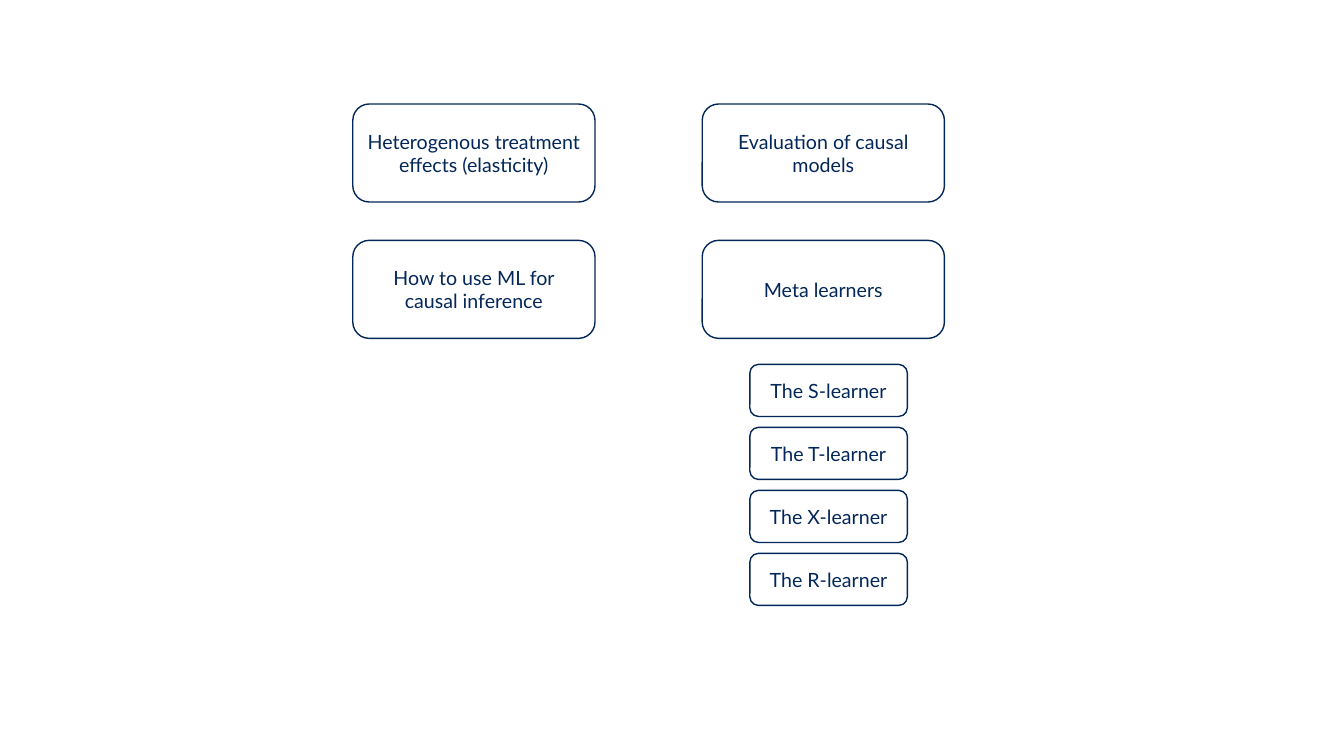
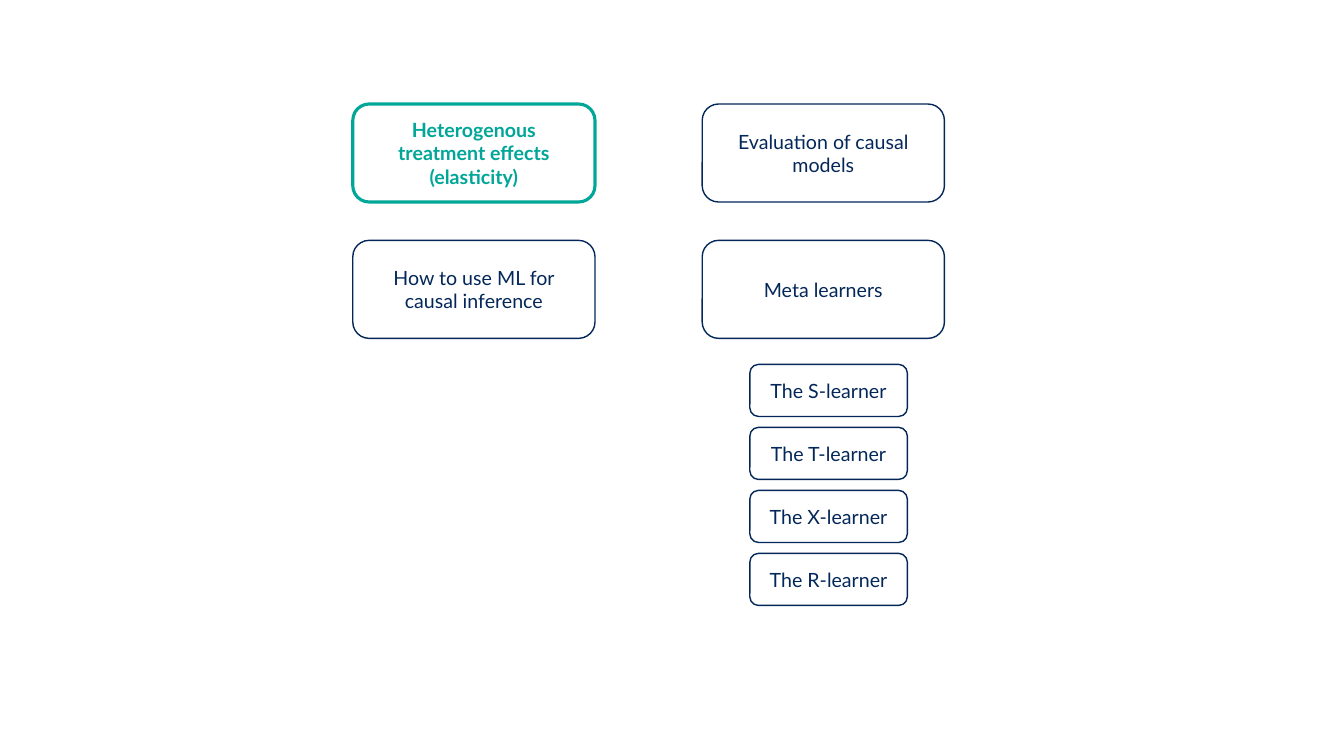
from dataclasses import dataclass
from typing import Optional

import pptx
import pptx.dml.color
import pptx.enum.shapes
import pptx.enum.text
import pptx.presentation
import pptx.slide
import pptx.util

Pt = pptx.util.Pt
RGBColor = pptx.dml.color.RGBColor


@dataclass(frozen=True)
class BoxStyle:
    color: RGBColor
    line_width: float
    bold: bool


@dataclass(frozen=True)
class Theme:
    font: str = "Lato"
    text_size: float = 14
    plain: BoxStyle = BoxStyle(RGBColor(0x04, 0x27, 0x59), 1, False)
    current: BoxStyle = BoxStyle(RGBColor(0x00, 0xA6, 0x98), 2.25, True)


@dataclass(frozen=True)
class Grid:
    """Equal cells in points, filled row by row."""
    left: float
    top: float
    width: float
    height: float
    row_step: float
    column_step: float = 0
    columns: int = 1


THEME = Theme()
SLIDE_WIDTH, SLIDE_HEIGHT = 960, 540

TOPIC_GRID = Grid(252, 74.3, 173, 70, row_step=97.4, column_step=249.6, columns=2)
LEARNER_GRID = Grid(535.6, 260.3, 112.5, 37.2, row_step=45)

EFFECTS = "Heterogenous treatment effects (elasticity)"
TOPICS = [
    EFFECTS,
    "Evaluation of causal models",
    "How to use ML for causal inference",
    "Meta learners",
]
LEARNERS = [f"The {letter}-learner" for letter in "STXR"]


def add_box(page: pptx.slide.Slide, grid: Grid, index: int, text: str, style: BoxStyle) -> None:
    row, column = divmod(index, grid.columns)
    box = page.shapes.add_shape(
        pptx.enum.shapes.MSO_SHAPE.ROUNDED_RECTANGLE,
        Pt(grid.left + column * grid.column_step),
        Pt(grid.top + row * grid.row_step),
        Pt(grid.width),
        Pt(grid.height),
    )
    box.shadow.inherit = False
    box.fill.background()
    box.line.color.rgb = style.color
    box.line.width = Pt(style.line_width)

    box.text_frame.word_wrap = True
    box.text_frame.vertical_anchor = pptx.enum.text.MSO_ANCHOR.MIDDLE
    para = box.text_frame.paragraphs[0]
    para.alignment = pptx.enum.text.PP_ALIGN.CENTER
    span = para.add_run()
    span.text = text
    span.font.color.rgb = style.color
    formats = {"name": THEME.font, "size": Pt(THEME.text_size), "bold": style.bold}
    for name, value in formats.items():
        setattr(span.font, name, value)


def add_agenda(deck: pptx.presentation.Presentation, current: Optional[str] = None) -> None:
    """Add the agenda slide, with the current topic highlighted if there is one."""
    page = deck.slides.add_slide(deck.slide_layouts[6])
    for grid, labels in ((TOPIC_GRID, TOPICS), (LEARNER_GRID, LEARNERS)):
        for index, label in enumerate(labels):
            style = THEME.current if label == current else THEME.plain
            add_box(page, grid, index, label, style)


def main() -> None:
    deck = pptx.Presentation()
    deck.slide_width, deck.slide_height = Pt(SLIDE_WIDTH), Pt(SLIDE_HEIGHT)
    for current in (None, EFFECTS):
        add_agenda(deck, current)
    deck.save("out.pptx")


if __name__ == "__main__":
    main()
